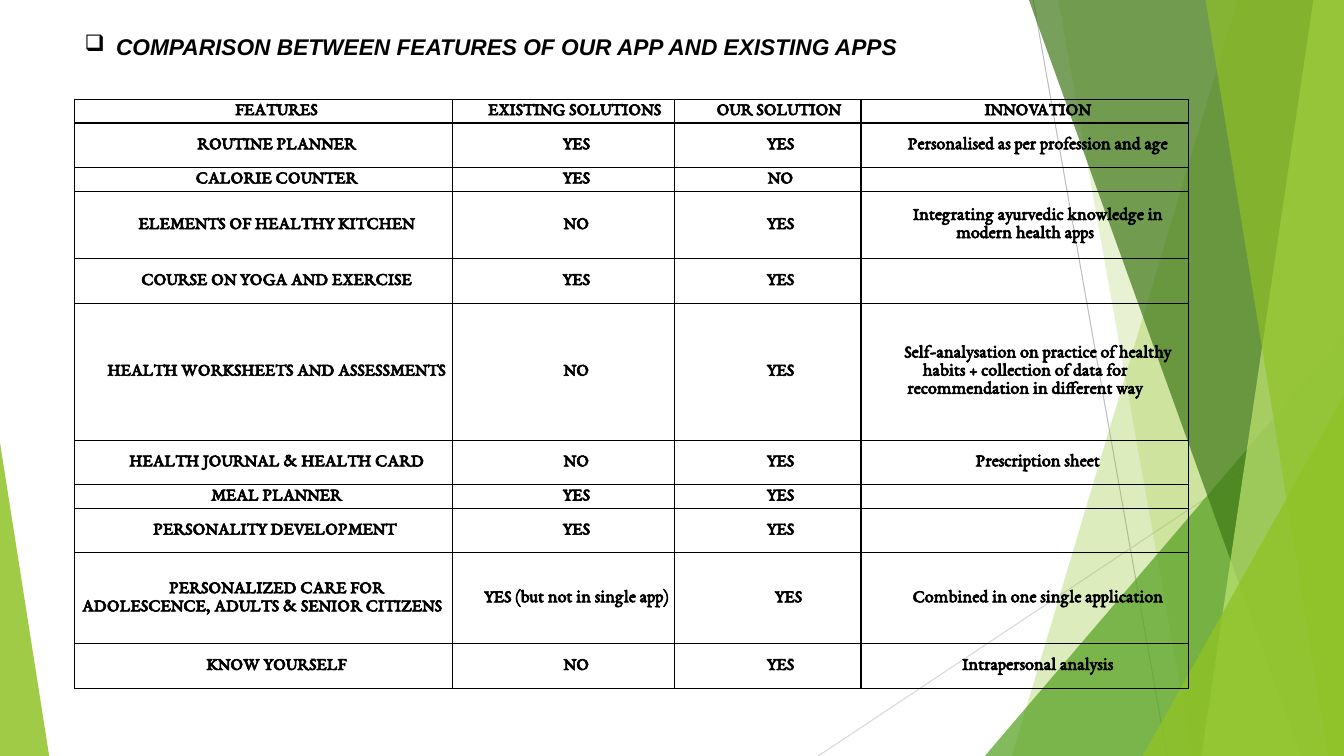
from typing import NamedTuple

from lxml.etree import SubElement
from pptx import Presentation
from pptx.dml.color import RGBColor
from pptx.enum.shapes import MSO_CONNECTOR, MSO_SHAPE
from pptx.enum.text import MSO_ANCHOR, MSO_AUTO_SIZE, PP_ALIGN
from pptx.oxml.ns import qn
from pptx.util import Cm, Pt

WIDTH, HEIGHT = 33.87, 19.05
COLORS = {
    "black": "000000", "lime": "90C226", "green": "54A021", "forest": "3F7818",
    "pale": "BFE471", "grey": "BFBFBF", "silver": "D8D8D8",
}
TABLE_FONT, TABLE_SIZE = "EB Garamond", 13
FIRST_INDENT = 0.64


class Ray(NamedTuple):
    x1: float
    y1: float
    x2: float
    y2: float
    color: str


class Band(NamedTuple):
    """Area between a slanted left edge and the right side of the slide."""
    top_x: float
    bottom_x: float
    color: str
    alpha: int


class Wedge(NamedTuple):
    """Triangle standing on the bottom of the slide."""
    left: float
    top: float
    width: float
    apex: float
    color: str
    alpha: int


class Row(NamedTuple):
    height: float
    cells: tuple[str, str, str, str]


RAYS = [
    Ray(26.04, 0, 29.41, HEIGHT, "grey"),
    Ray(WIDTH, 10.24, 20.62, HEIGHT, "silver"),
]
FACETS = [
    Band(31.19, 25.5, "lime", 30),
    Band(26.67, 30.05, "lime", 20),
    Wedge(24.82, 8.46, 9.05, 1, "green", 72),
    Band(25.93, 32.79, "forest", 70),
    Band(33.1, 30.28, "pale", 70),
    Band(30.38, 33.48, "lime", 65),
    Wedge(28.8, 9.98, 5.07, 1, "lime", 80),
    Wedge(0, 11.15, 1.24, 0, "lime", 85),
]
COLUMNS = [9.53, 5.59, 4.7, 8.26]
SHORT, NORMAL = 0.6, 1.12
ROWS = [
    Row(SHORT, ("FEATURES", "EXISTING SOLUTIONS ", "OUR SOLUTION ", "INNOVATION")),
    Row(NORMAL, ("ROUTINE PLANNER", "YES", "YES", "Personalised as per profession and age")),
    Row(SHORT, ("CALORIE COUNTER", "YES", "NO", "")),
    Row(1.7, ("ELEMENTS OF HEALTHY KITCHEN", "NO", "YES",
              "Integrating ayurvedic knowledge in modern health apps")),
    Row(NORMAL, ("COURSE ON YOGA AND EXERCISE", "YES", "YES", "")),
    Row(3.45, ("HEALTH WORKSHEETS AND ASSESSMENTS", "NO", "YES",
               "Self-analysation on practice of healthy habits + collection of data "
               "for recommendation in different way")),
    Row(NORMAL, ("HEALTH JOURNAL & HEALTH CARD", "NO", "YES", "Prescription sheet")),
    Row(SHORT, ("MEAL PLANNER", "YES", "YES", "")),
    Row(NORMAL, ("PERSONALITY DEVELOPMENT ", "YES", "YES", "")),
    Row(2.29, ("PERSONALIZED CARE FOR ADOLESCENCE, ADULTS & SENIOR CITIZENS ",
               "YES (but not in single app)", "YES", "Combined in one single application")),
    Row(NORMAL, ("KNOW YOURSELF", "NO", "YES", "Intrapersonal analysis")),
]
# Cells whose first line is pushed further right: (row, column) -> indent
WIDE_INDENTS = {(9, 2): 1.04}


def rgb(name: str) -> RGBColor:
    return RGBColor.from_string(COLORS[name])


def write(p, text: str, *, font: str, size: float, italic: bool = False,
          align=PP_ALIGN.LEFT, margin: float = 0, indent: float = 0) -> None:
    p.alignment = align
    p.line_spacing = 1.0
    pPr = p._p.get_or_add_pPr()
    pPr.set("marL", str(Cm(margin)))
    pPr.set("indent", str(Cm(indent)))
    if not text:
        SubElement(p._p, qn("a:endParaRPr"), sz=str(size * 100))
        return
    r = p.add_run()
    r.text = text
    r.font.name, r.font.size = font, Pt(size)
    r.font.bold, r.font.italic = True, italic
    r.font.color.rgb = rgb("black")


def draw_ray(s, ray: Ray) -> None:
    line = s.shapes.add_connector(MSO_CONNECTOR.STRAIGHT, Cm(ray.x1), Cm(ray.y1),
                                  Cm(ray.x2), Cm(ray.y2))
    line.line.color.rgb = rgb(ray.color)
    line.line.width = Pt(0.75)
    SubElement(line._element.spPr, qn("a:effectLst"))


def draw_facet(s, facet: Band | Wedge) -> None:
    if isinstance(facet, Band):
        outline = s.shapes.build_freeform(Cm(facet.top_x), 0)
        outline.add_line_segments([(Cm(WIDTH), 0), (Cm(WIDTH), Cm(HEIGHT)),
                                   (Cm(facet.bottom_x), Cm(HEIGHT))], close=True)
        sp = outline.convert_to_shape()
    else:
        sp = s.shapes.add_shape(MSO_SHAPE.ISOSCELES_TRIANGLE, Cm(facet.left), Cm(facet.top),
                                Cm(facet.width), Cm(HEIGHT - facet.top))
        sp.adjustments[0] = facet.apex
    sp.shadow.inherit = False
    sp.line.fill.background()
    sp.fill.solid()
    sp.fill.fore_color.rgb = rgb(facet.color)
    color = sp._element.spPr.find(f"{qn('a:solidFill')}/{qn('a:srgbClr')}")
    SubElement(color, qn("a:alpha"), val=str(facet.alpha * 1000))


def add_borders(cell) -> None:
    tcPr = cell._tc.get_or_add_tcPr()
    for i, side in enumerate(("lnL", "lnR", "lnT", "lnB")):
        ln = SubElement(tcPr, qn(f"a:{side}"), w=str(Pt(1)))
        fill = SubElement(ln, qn("a:solidFill"))
        SubElement(fill, qn("a:srgbClr"), val=COLORS["black"])
        tcPr.insert(i, ln)


def format_title(s) -> None:
    title = s.shapes.title
    title.element.getparent().append(title.element)  # in front of the facets
    title.left, title.top, title.width, title.height = Cm(1.88), Cm(0.69), Cm(26.67), Cm(1.24)
    tf = title.text_frame
    tf.word_wrap, tf.auto_size = True, MSO_AUTO_SIZE.NONE
    tf.vertical_anchor = MSO_ANCHOR.TOP
    p = tf.paragraphs[0]
    write(p, "COMPARISON BETWEEN FEATURES OF OUR APP AND EXISTING APPS",
          font="Arial", size=16.2, italic=True, margin=0.79, indent=-0.79)
    pPr = p._p.get_or_add_pPr()
    bullet_color = SubElement(pPr, qn("a:buClr"))
    SubElement(bullet_color, qn("a:srgbClr"), val=COLORS["black"])
    SubElement(pPr, qn("a:buChar"), char="❑")


def add_comparison(s) -> None:
    height = sum(row.height for row in ROWS)
    table = s.shapes.add_table(len(ROWS), len(COLUMNS), Cm(1.88), Cm(2.5),
                               Cm(sum(COLUMNS)), Cm(height)).table
    table.first_row = table.horz_banding = False
    for column, width in zip(table.columns, COLUMNS):
        column.width = Cm(width)
    for i, row in enumerate(ROWS):
        table.rows[i].height = Cm(row.height)
        for j, text in enumerate(row.cells):
            cell = table.cell(i, j)
            cell.fill.background()
            add_borders(cell)
            cell.vertical_anchor = MSO_ANCHOR.MIDDLE
            cell.margin_left = cell.margin_right = Cm(0.1)
            cell.margin_top = cell.margin_bottom = 0
            write(cell.text_frame.paragraphs[0], text, font=TABLE_FONT, size=TABLE_SIZE,
                  align=PP_ALIGN.CENTER, indent=WIDE_INDENTS.get((i, j), FIRST_INDENT))


def main() -> None:
    prs = Presentation()
    prs.slide_width, prs.slide_height = Cm(WIDTH), Cm(HEIGHT)
    s = prs.slides.add_slide(prs.slide_layouts[5])

    # Background facets
    for ray in RAYS:
        draw_ray(s, ray)
    for facet in FACETS:
        draw_facet(s, facet)

    # Title and comparison table
    format_title(s)
    add_comparison(s)
    prs.save("out.pptx")


if __name__ == "__main__":
    main()
